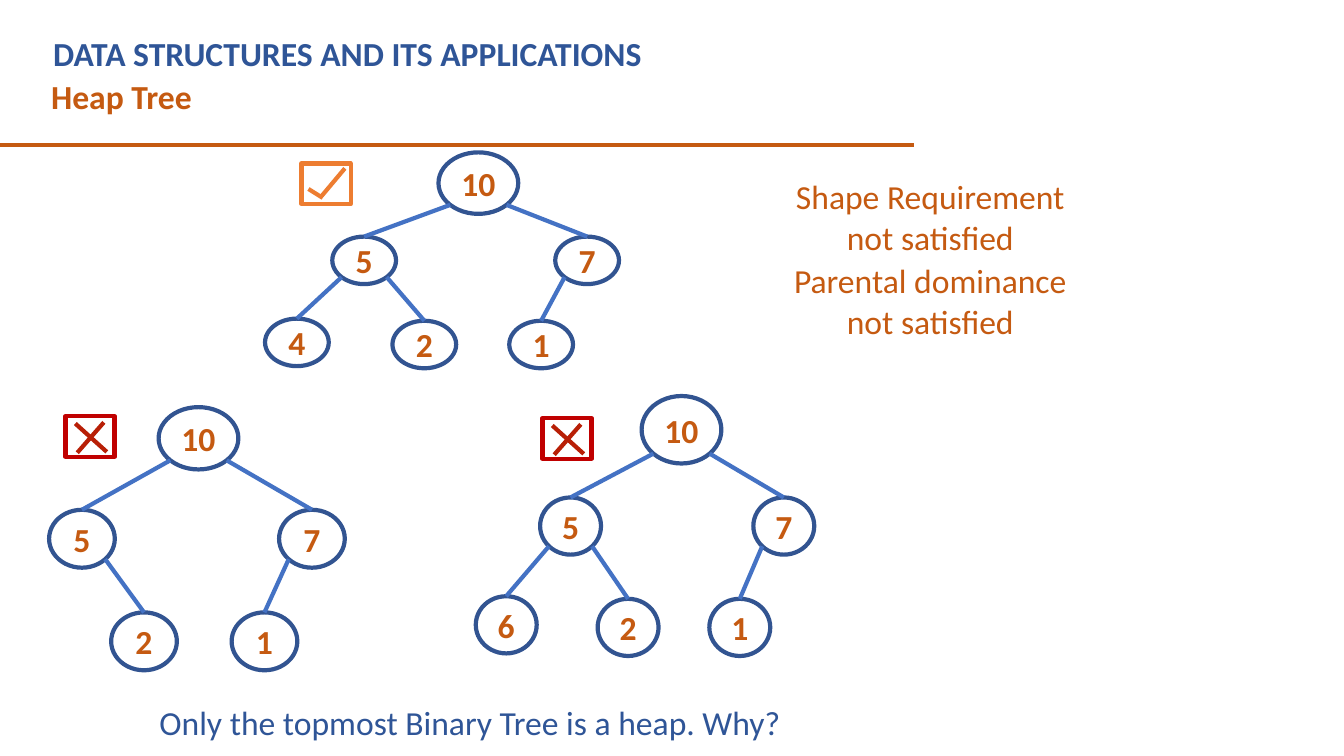
from math import sqrt

from pptx import Presentation
from pptx.dml.color import RGBColor
from pptx.enum.shapes import MSO_CONNECTOR, MSO_SHAPE
from pptx.enum.text import MSO_ANCHOR, PP_ALIGN
from pptx.oxml import parse_xml
from pptx.util import Cm, Pt

OVAL, RECTANGLE = MSO_SHAPE.OVAL, MSO_SHAPE.RECTANGLE
STRAIGHT = MSO_CONNECTOR.STRAIGHT
LEFT, CENTER = PP_ALIGN.LEFT, PP_ALIGN.CENTER
TOP, MIDDLE = MSO_ANCHOR.TOP, MSO_ANCHOR.MIDDLE

COLORS = {
    "blue": "2F5597", "orange": "C55A11", "white": "FFFFFF",
    "node": "325491", "edge": "4472C4",
    "tick": "ED7D31", "cross box": "C00000", "cross": "B81F06",
}
NO_EFFECTS = ('<a:effectLst xmlns:a='
              '"http://schemas.openxmlformats.org/drawingml/2006/main"/>')

# Node positions as shares of the tree box: root, children, leaves
NODE_SPOTS = {
    "root": (0.49, 0), "left": (0.19, 0.39), "right": (0.82, 0.39),
    "left left": (0, 0.77), "left right": (0.36, 0.78),
    "right left": (0.69, 0.78),
}
NODE_WIDTH, NODE_HEIGHT = 0.18, 0.22
ROOT_WIDTH = 2.01

# Strokes inside a mark, as shares of its box
TICK_STROKES = [(0.43, 0.85, 0.14, 0.63), (0.41, 0.8, 0.88, 0.12)]
CROSS_STROKES = [(0.24, 0.9, 0.78, 0.15), (0.2, 0.18, 0.84, 0.88)]
MARK_WIDTH, MARK_HEIGHT = 1.24, 1.02


def color(name):
    return RGBColor.from_string(COLORS[name])


def write(frame, text, color_name, bold=False, align=LEFT, anchor=TOP):
    frame.text = text
    frame.vertical_anchor = anchor
    para = frame.paragraphs[0]
    para.alignment = align
    font = para.runs[0].font
    font.name, font.size, font.bold = "Calibri", Pt(24), bold
    font.color.rgb = color(color_name)


def add_text(page, box, text, color_name, **style):
    frame = page.shapes.add_textbox(*map(Cm, box)).text_frame
    frame.word_wrap = True
    write(frame, text, color_name, **style)


def add_line(page, ends, color_name):
    line = page.shapes.add_connector(STRAIGHT, *map(Cm, ends))
    line.line.color.rgb = color(color_name)
    line.line.width = Pt(3)
    line._element.spPr.append(parse_xml(NO_EFFECTS))
    return line


def add_outline(page, kind, box, color_name):
    shape = page.shapes.add_shape(kind, *map(Cm, box))
    shape.shadow.inherit = False
    shape.fill.background()
    shape.line.color.rgb = color(color_name)
    shape.line.width = Pt(3)
    return shape


def add_header(page, box):
    left, top, width, height = box
    add_text(page, (left + 0.05, top, width, 1.27),
             "DATA STRUCTURES AND ITS APPLICATIONS", "blue", bold=True)
    add_text(page, (left, top + 1.09, width, 1.27), "Heap Tree", "orange", bold=True)
    add_line(page, (0, top + height, left + width, top + height), "orange")


def add_tree(page, box, root_height, values):
    left, top, width, height = box
    nodes, boxes = {}, {}
    for place, value in values.items():
        across, down = NODE_SPOTS[place]
        size = (NODE_WIDTH * width, NODE_HEIGHT * height)
        if place == "root":
            size = (ROOT_WIDTH, root_height)
        boxes[place] = (left + across * width, top + down * height, *size)
        node = add_outline(page, OVAL, boxes[place], "node")
        node.fill.solid()
        node.fill.fore_color.rgb = color("white")
        frame = node.text_frame
        frame.word_wrap = False
        frame.margin_left = frame.margin_right = 0
        write(frame, value, "orange", bold=True, align=CENTER, anchor=MIDDLE)
        nodes[place] = node

    # Edges leave the parent's lower diagonal and end on top of the child
    for place in nodes:
        if place == "root":
            continue
        *ancestors, side = place.split()
        x, y, parent_width, parent_height = boxes[" ".join(ancestors) or "root"]
        reach = sqrt(0.5) if side == "right" else -sqrt(0.5)
        start = (x + parent_width / 2 * (1 + reach),
                 y + parent_height / 2 * (1 + sqrt(0.5)))
        edge = add_line(page, (*start, *start), "edge")
        edge.end_connect(nodes[place], 0)


def add_mark(page, box, strokes, box_color, stroke_color):
    left, top, width, height = box
    add_outline(page, RECTANGLE, box, box_color)
    for x1, y1, x2, y2 in strokes:
        add_line(page, (left + x1 * width, top + y1 * height,
                        left + x2 * width, top + y2 * height), stroke_color)


def add_notes(page, box):
    left, top, width, height = box
    for index, rule in enumerate(["Shape Requirement", "Parental dominance"]):
        add_text(page, (left, top + index * height / 2, width, height / 2),
                 f"{rule} not satisfied", "orange", align=CENTER)


def main():
    deck = Presentation()
    deck.slide_width, deck.slide_height = Cm(33.87), Cm(19.05)
    page = deck.slides.add_slide(deck.slide_layouts[6])

    add_header(page, (1.04, 0.71, 22, 2.95))

    # Three binary trees, only the first one a heap
    lower = {"root": "10", "left": "5", "right": "7",
             "left right": "2", "right left": "1"}
    add_tree(page, (6.68, 3.84, 8.92, 5.44), 1.55, {**lower, "left left": "4"})
    add_tree(page, (-0.51, 10.26, 9.2, 6.63), 1.57, lower)
    add_tree(page, (11.99, 9.98, 8.53, 6.55), 1.7, {**lower, "left left": "6"})

    # Verdicts
    size = (MARK_WIDTH, MARK_HEIGHT)
    add_mark(page, (7.6, 4.12, *size), TICK_STROKES, "tick", "tick")
    for spot in [(1.65, 10.49), (13.67, 10.54)]:
        add_mark(page, (*spot, *size), CROSS_STROKES, "cross box", "cross")

    add_notes(page, (19.75, 4.32, 7.39, 4.22))
    add_text(page, (1.24, 17.56, 21.21, 1.27),
             "Only the topmost Binary Tree is a heap. Why?", "blue",
             align=CENTER, anchor=MIDDLE)

    deck.save("out.pptx")


if __name__ == "__main__":
    main()
